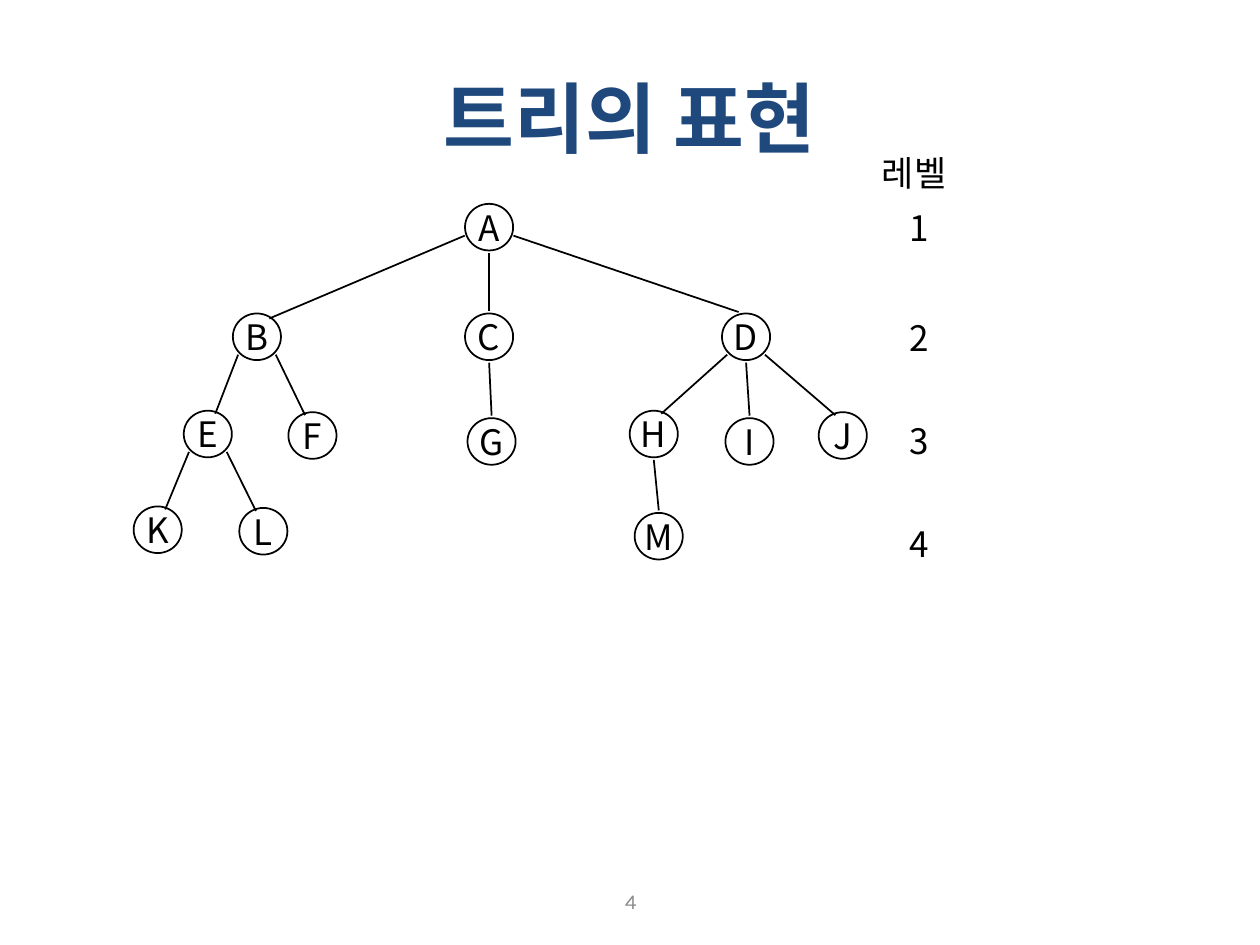
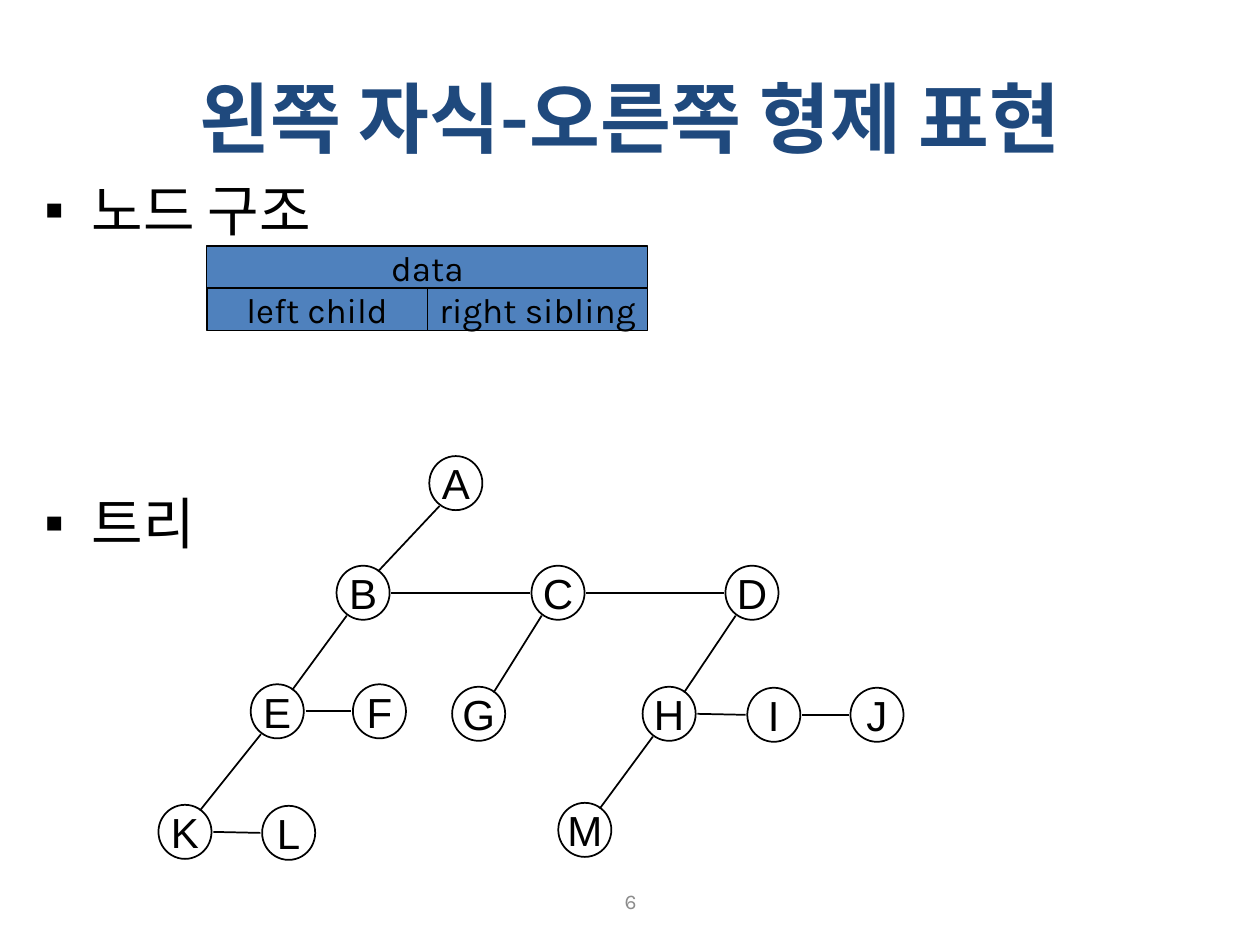
from dataclasses import dataclass

from pptx import Presentation
from pptx.dml.color import RGBColor
from pptx.enum.shapes import MSO_CONNECTOR, MSO_SHAPE
from pptx.enum.text import MSO_ANCHOR, MSO_AUTO_SIZE, PP_ALIGN
from pptx.oxml.xmlchemy import OxmlElement
from pptx.util import Cm, Pt


@dataclass(frozen=True)
class Theme:
    ink: RGBColor = RGBColor(0x00, 0x00, 0x00)
    heading: RGBColor = RGBColor(0x1F, 0x49, 0x7D)
    muted: RGBColor = RGBColor(0x8C, 0x8C, 0x8C)
    record: RGBColor = RGBColor(0x4F, 0x81, 0xBD)
    main_font: str = "Karla"
    korean_font: str = "Noto Sans CJK KR"
    letter_font: str = "Arial"
    title_size: int = 44
    list_size: int = 32
    letter_size: int = 24
    label_size: int = 20
    number_size: int = 12
    edge_width: float = 1
    record_width: float = 0.75


@dataclass(frozen=True)
class NodeStyle:
    width: float
    height: float
    font: str
    size: int


THEME = Theme()
LEVEL_NODE = NodeStyle(0.97, 0.94, THEME.korean_font, THEME.label_size)
SIBLING_NODE = NodeStyle(1.07, 1.09, THEME.letter_font, THEME.letter_size)

# Each edge kind: offset from the first node's centre, offset from the second's (cm).
EDGE_OFFSETS = {
    "left": ((-0.38, 0.36), (0.15, -0.41)),
    "right": ((0.38, 0.36), (-0.15, -0.41)),
    "wide left": ((-0.49, 0.17), (0.25, -0.37)),
    "wide right": ((0.49, 0.17), (-0.15, -0.5)),
    "down": ((0, 0.52), (0, -0.52)),
    "child": ((-0.33, 0.46), (0.3, -0.43)),
    "sibling": ((0.57, 0), (-0.57, 0)),
}

LEVEL_CENTRES = {
    "A": (9.86, 4.58),
    "B": (5.18, 6.79), "C": (9.86, 6.79), "D": (15.04, 6.79),
    "E": (4.19, 8.75), "F": (6.3, 8.78), "G": (9.91, 8.9),
    "H": (13.18, 8.75), "I": (15.11, 8.9), "J": (16.99, 8.78),
    "K": (3.18, 10.68), "L": (5.31, 10.71), "M": (13.28, 10.81),
}
LEVEL_EDGES = {
    "wide left": ["AB"],
    "wide right": ["AD"],
    "left": ["BE", "DH", "EK"],
    "right": ["BF", "DJ", "EL"],
    "down": ["AC", "CG", "DI", "HM"],
}
LEVEL_TOPS = {"1": 4.04, "2": 6.25, "3": 8.33, "4": 10.41}

SIBLING_CENTRES = {
    "A": (9.19, 9.74),
    "B": (7.32, 11.95), "C": (11.25, 11.95), "D": (15.16, 11.95),
    "E": (5.59, 14.34), "F": (7.65, 14.34), "G": (9.65, 14.39),
    "H": (13.49, 14.39), "I": (15.6, 14.41), "J": (17.68, 14.41),
    "K": (3.73, 16.77), "L": (5.82, 16.79), "M": (11.79, 16.73),
}
SIBLING_EDGES = {
    "child": ["AB", "BE", "EK", "CG", "DH", "HM"],
    "sibling": ["BC", "CD", "EF", "HI", "IJ", "KL"],
}


def add_span(para, text, font, size, color=THEME.ink, bold=False):
    span = para.add_run()
    span.text = text
    span.font.name = font
    span.font.size = Pt(size)
    span.font.bold = bold
    span.font.color.rgb = color
    east_asian = OxmlElement("a:ea")
    east_asian.set("typeface", THEME.korean_font)
    span.font._element.find(
        "{http://schemas.openxmlformats.org/drawingml/2006/main}latin"
    ).addnext(east_asian)


def place(shape, left, top, width, height):
    shape.left, shape.top = Cm(left), Cm(top)
    shape.width, shape.height = Cm(width), Cm(height)


def add_page(deck, layout_index, title, number):
    page = deck.slides.add_slide(deck.slide_layouts[layout_index])
    heading = page.shapes.title
    place(heading, 1.27, 0.76, 22.86, 3.18)
    frame = heading.text_frame
    frame.auto_size = MSO_AUTO_SIZE.NONE
    frame.vertical_anchor = MSO_ANCHOR.MIDDLE
    para = frame.paragraphs[0]
    para.alignment = PP_ALIGN.CENTER
    add_span(para, title, THEME.main_font, THEME.title_size, THEME.heading, True)

    footer = page.shapes.add_textbox(Cm(8.69), Cm(17.65), Cm(8.05), Cm(1.02))
    footer.text_frame.word_wrap = True
    footer.text_frame.vertical_anchor = MSO_ANCHOR.MIDDLE
    para = footer.text_frame.paragraphs[0]
    para.alignment = PP_ALIGN.CENTER
    add_span(para, number, THEME.main_font, THEME.number_size, THEME.muted)
    return page


def add_label(page, text, left, top, width):
    box = page.shapes.add_textbox(Cm(left), Cm(top), Cm(width), Cm(1.09))
    box.text_frame.word_wrap = False
    box.text_frame.auto_size = MSO_AUTO_SIZE.SHAPE_TO_FIT_TEXT
    add_span(box.text_frame.paragraphs[0], text, THEME.korean_font, THEME.label_size)


def add_outlined(page, preset, bounds, line_width, text, font, size):
    """Add an unfilled shape with a centred, unwrapped caption."""
    shape = page.shapes.add_shape(preset, *(Cm(length) for length in bounds))
    shape.shadow.inherit = False
    shape.fill.background()
    shape.line.color.rgb = THEME.ink
    shape.line.width = Pt(line_width)
    frame = shape.text_frame
    frame.word_wrap = False
    frame.vertical_anchor = MSO_ANCHOR.MIDDLE
    para = frame.paragraphs[0]
    para.alignment = PP_ALIGN.CENTER
    add_span(para, text, font, size)
    return shape


def add_edge(page, start, end):
    edge = page.shapes.add_connector(
        MSO_CONNECTOR.STRAIGHT, *(Cm(length) for length in (*start, *end))
    )
    edge.line.color.rgb = THEME.ink
    edge.line.width = Pt(THEME.edge_width)
    edge._element.spPr.append(OxmlElement("a:effectLst"))


def shift(point, offset):
    return point[0] + offset[0], point[1] + offset[1]


def add_tree(page, centres, edges, style):
    for letter, (x, y) in centres.items():
        bounds = (x - style.width / 2, y - style.height / 2, style.width, style.height)
        add_outlined(page, MSO_SHAPE.OVAL, bounds, THEME.edge_width,
                     letter, style.font, style.size)
    for kind, pairs in edges.items():
        start_offset, end_offset = EDGE_OFFSETS[kind]
        for first, second in pairs:
            add_edge(page, shift(centres[first], start_offset),
                     shift(centres[second], end_offset))


def add_record(page, left, top, width, height):
    """Draw the node record: data above its two links."""
    half = width / 2
    cells = [
        ("left child", left, top + height, half),
        ("right sibling", left + half, top + height, half),
        ("data", left, top, width),
    ]
    for text, x, y, cell_width in cells:
        cell = add_outlined(page, MSO_SHAPE.RECTANGLE, (x, y, cell_width, height),
                            THEME.record_width, text, THEME.main_font, THEME.label_size)
        cell.fill.solid()
        cell.fill.fore_color.rgb = THEME.record


def add_bullet(para, symbol, indent):
    properties = para._p.get_or_add_pPr()
    properties.set("marL", str(Cm(indent)))
    properties.set("indent", str(-Cm(indent)))
    bullet = OxmlElement("a:buChar")
    bullet.set("char", symbol)
    properties.append(bullet)


def fill_list(body, items):
    """Write (text, space before in points) items as square bullets."""
    place(body, 0.64, 2.74, 23.93, 14.99)
    frame = body.text_frame
    frame.auto_size = MSO_AUTO_SIZE.NONE
    for index, (text, space_before) in enumerate(items):
        para = frame.add_paragraph() if index else frame.paragraphs[0]
        add_bullet(para, "▪", 0.96)
        para.line_spacing = 1.5
        para.space_before = Pt(space_before)
        add_span(para, text, THEME.main_font, THEME.list_size)


def build_level_page(deck):
    page = add_page(deck, 5, "트리의 표현", "4")
    add_tree(page, LEVEL_CENTRES, LEVEL_EDGES, LEVEL_NODE)
    add_label(page, "레벨", 17.53, 2.92, 1.93)
    for level, top in LEVEL_TOPS.items():
        add_label(page, level, 18.08, top, 0.91)


def build_sibling_page(deck):
    page = add_page(deck, 1, "왼쪽 자식-오른쪽 형제 표현", "6")
    fill_list(page.placeholders[1], [("노드 구조", 0), ("트리", 121)])
    add_record(page, 4.17, 4.96, 8.89, 0.85)
    add_tree(page, SIBLING_CENTRES, SIBLING_EDGES, SIBLING_NODE)


def main():
    deck = Presentation()
    deck.slide_width, deck.slide_height = Cm(25.4), Cm(19.05)
    build_level_page(deck)
    build_sibling_page(deck)
    deck.save("out.pptx")


if __name__ == "__main__":
    main()
